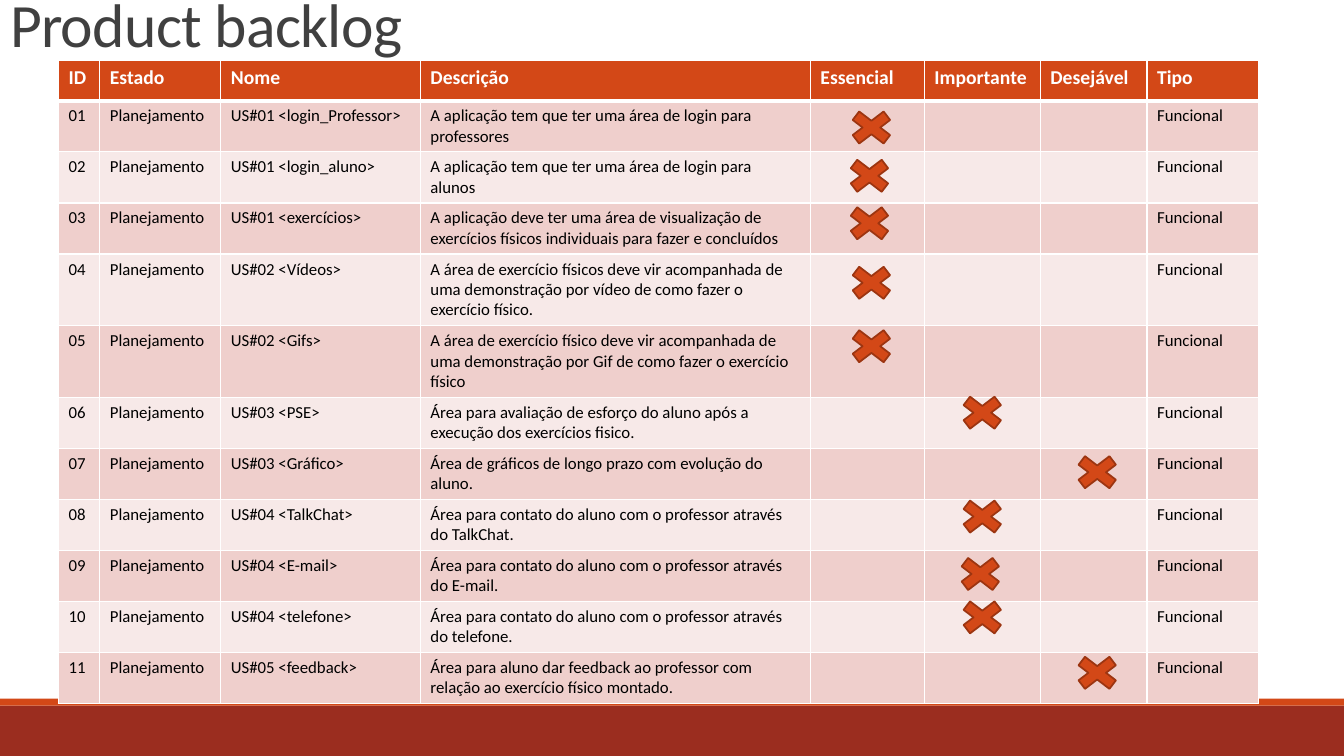
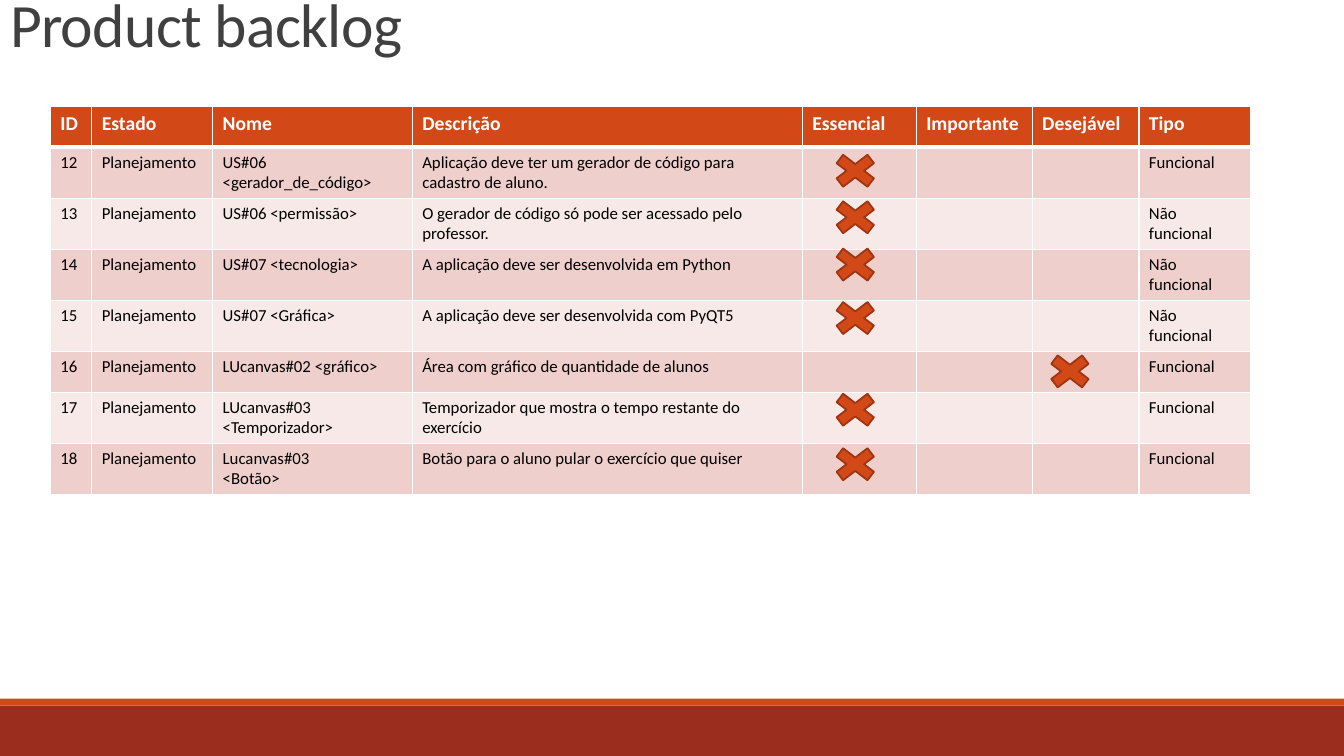
"""Build the two product backlog slides."""
from dataclasses import dataclass

from lxml import etree
from pptx import Presentation
from pptx import util as u
from pptx.dml.color import RGBColor
from pptx.enum import shapes, text
from pptx.oxml import ns


@dataclass(frozen=True)
class Theme:
    font: str = "Calibri"
    title_size: float = 44
    header_size: float = 14
    body_size: float = 12
    title: str = "404040"
    body: str = "000000"
    white: str = "FFFFFF"
    accent: str = "D34817"
    footer: str = "9B2D1F"
    mark_line: str = "9C3511"
    rows: tuple = ("EFCFCC", "F7E9E8")


THEME = Theme()
SLIDE_WIDTH, SLIDE_HEIGHT = 960, 540
TITLE_ONLY = 5
ROW_HEIGHT = 28.8
MARK_WIDTH, MARK_HEIGHT = 42.5, 32.4
COLUMNS = {
    "ID": 29.5, "Estado": 86.4, "Nome": 142.6, "Descrição": 278.6,
    "Essencial": 81.4, "Importante": 82.8, "Desejável": 76.3, "Tipo": 79.9,
}
STATE = "Planejamento"
FUNCTIONAL, NON_FUNCTIONAL = "Funcional", "Não funcional"

FIRST_STORIES = [
    ("US#01 <login_Professor>",
     "A aplicação tem que ter uma área de login para professores", FUNCTIONAL),
    ("US#01 <login_aluno>",
     "A aplicação tem que ter uma área de login para alunos", FUNCTIONAL),
    ("US#01 <exercícios>",
     "A aplicação deve ter uma área de visualização de exercícios físicos "
     "individuais para fazer e concluídos", FUNCTIONAL),
    ("US#02 <Vídeos>",
     "A área de exercício físicos deve vir acompanhada de uma demonstração "
     "por vídeo de como fazer o exercício físico.", FUNCTIONAL),
    ("US#02 <Gifs>",
     "A área de exercício físico deve vir acompanhada de uma demonstração "
     "por Gif de como fazer o exercício físico", FUNCTIONAL),
    ("US#03 <PSE>",
     "Área para avaliação de esforço do aluno após a execução dos "
     "exercícios fisico.", FUNCTIONAL),
    ("US#03 <Gráfico>",
     "Área de gráficos de longo prazo com evolução do aluno.", FUNCTIONAL),
    ("US#04 <TalkChat>",
     "Área para contato do aluno com o professor através do TalkChat.", FUNCTIONAL),
    ("US#04 <E-mail>",
     "Área para contato do aluno com o professor através do E-mail.", FUNCTIONAL),
    ("US#04 <telefone>",
     "Área para contato do aluno com o professor através do telefone.", FUNCTIONAL),
    ("US#05 <feedback>",
     "Área para aluno dar feedback ao professor com relação ao exercício "
     "físico montado.", FUNCTIONAL),
]
FIRST_MARKS = [
    (601.2, 74.9), (599.8, 109.4), (599.8, 143.3), (601.2, 185.8),
    (601.2, 231.1), (680.4, 278.6), (762.5, 321.1), (680.4, 352.8),
    (679, 393.8), (680.4, 424.8), (762.5, 464.4),
]

SECOND_STORIES = [
    ("US#06 <gerador_de_código>",
     "Aplicação deve ter um gerador de código para cadastro de aluno.", FUNCTIONAL),
    ("US#06 <permissão>",
     "O gerador de código só pode ser acessado pelo professor.", NON_FUNCTIONAL),
    ("US#07 <tecnologia>",
     "A aplicação deve ser desenvolvida em Python", NON_FUNCTIONAL),
    ("US#07 <Gráfica>",
     "A aplicação deve ser desenvolvida com PyQT5", NON_FUNCTIONAL),
    ("LUcanvas#02 <gráfico>",
     "Área com gráfico de quantidade de alunos", FUNCTIONAL),
    ("LUcanvas#03 <Temporizador>",
     "Temporizador que mostra o tempo restante do exercício", FUNCTIONAL),
    ("Lucanvas#03\n<Botão>",
     "Botão para o aluno pular o exercício que quiser", FUNCTIONAL),
]
SECOND_MARKS = [
    (589.7, 105.8), (589.7, 139), (589.7, 172.8), (589.7, 211),
    (743, 249.1), (589.7, 276.5), (589.7, 315.4),
]


def rgb(value):
    return RGBColor.from_string(value)


def add_run(paragraph, wording, size, color, bold=False):
    run = paragraph.add_run()
    run.text = wording
    run.font.name = THEME.font
    run.font.size = u.Pt(size)
    run.font.bold = bold
    run.font.color.rgb = rgb(color)
    return run


def add_filled(slide, preset, left, top, width, height, fill):
    figure = slide.shapes.add_shape(
        preset, u.Pt(left), u.Pt(top), u.Pt(width), u.Pt(height))
    figure.shadow.inherit = False
    figure.fill.solid()
    figure.fill.fore_color.rgb = rgb(fill)
    figure.line.fill.background()
    return figure


def move_bands_to_layout(slide):
    bands = [(504, 36, THEME.footer), (499, 5, THEME.accent)]
    for number, (top, height, color) in enumerate(bands, start=100):
        band = add_filled(slide, shapes.MSO_SHAPE.RECTANGLE,
                          0, top, SLIDE_WIDTH, height, color)
        band.element.xpath(".//p:cNvPr")[0].set("id", str(number))
        slide.slide_layout.shapes.element.append(band.element)


def set_title(slide, wording):
    title = slide.shapes.title
    title.left, title.top = u.Pt(0), u.Pt(-12.2)
    title.width, title.height = u.Pt(792), u.Pt(59)
    frame = title.text_frame
    frame.word_wrap = True
    frame.auto_size = text.MSO_AUTO_SIZE.NONE
    frame.vertical_anchor = text.MSO_ANCHOR.BOTTOM
    heading = frame.paragraphs[0]
    heading.alignment = text.PP_ALIGN.LEFT
    heading.line_spacing = 0.85
    run = add_run(heading, wording, THEME.title_size, THEME.title)
    run.font._element.set("spc", "-50")


def set_borders(cell, top, bottom):
    properties = cell._tc.get_or_add_tcPr()
    widths = {"lnL": 1, "lnR": 1, "lnT": top, "lnB": bottom}
    for side, width in widths.items():
        line = etree.SubElement(properties, ns.qn(f"a:{side}"), w=str(u.Pt(width)))
        fill = etree.SubElement(line, ns.qn("a:solidFill"))
        etree.SubElement(fill, ns.qn("a:srgbClr"), val=THEME.white)


def fill_cell(cell, wording, row):
    header = row == 0
    set_borders(cell, top=3 if row == 1 else 1, bottom=3 if header else 1)
    cell.fill.solid()
    cell.fill.fore_color.rgb = rgb(
        THEME.accent if header else THEME.rows[(row - 1) % 2])
    size = THEME.header_size if header else THEME.body_size
    color = THEME.white if header else THEME.body
    for index, part in enumerate(wording.splitlines()):
        frame = cell.text_frame
        paragraph = frame.add_paragraph() if index else frame.paragraphs[0]
        add_run(paragraph, part, size, color, header)


def add_backlog(slide, left, top, first_id, stories):
    rows = [tuple(COLUMNS)] + [
        (f"{number:02}", STATE, name, description, "", "", "", kind)
        for number, (name, description, kind) in enumerate(stories, first_id)]
    backlog = slide.shapes.add_table(
        len(rows), len(COLUMNS), u.Pt(left), u.Pt(top),
        u.Pt(sum(COLUMNS.values())), u.Pt(ROW_HEIGHT * len(rows))).table
    backlog.horz_banding = False
    for column, width in zip(backlog.columns, COLUMNS.values()):
        column.width = u.Pt(width)
    for row, entries in enumerate(rows):
        backlog.rows[row].height = u.Pt(ROW_HEIGHT)
        for column, wording in enumerate(entries):
            fill_cell(backlog.cell(row, column), wording, row)


def add_mark(slide, left, top):
    mark = add_filled(slide, shapes.MSO_SHAPE.MATH_MULTIPLY,
                      left, top, MARK_WIDTH, MARK_HEIGHT, THEME.accent)
    mark.line.color.rgb = rgb(THEME.mark_line)
    mark.line.width = u.Pt(1.25)


def main():
    deck = Presentation()
    deck.slide_width, deck.slide_height = u.Pt(SLIDE_WIDTH), u.Pt(SLIDE_HEIGHT)
    layout = deck.slide_layouts[TITLE_ONLY]
    pages = [
        (41.8, 43.2, 1, FIRST_STORIES, FIRST_MARKS),
        (36, 76.3, 12, SECOND_STORIES, SECOND_MARKS),
    ]
    for left, top, first_id, stories, marks in pages:
        slide = deck.slides.add_slide(layout)
        set_title(slide, "Product backlog")
        add_backlog(slide, left, top, first_id, stories)
        for position in marks:
            add_mark(slide, *position)
    move_bands_to_layout(deck.slides[0])
    deck.save("out.pptx")


if __name__ == "__main__":
    main()
